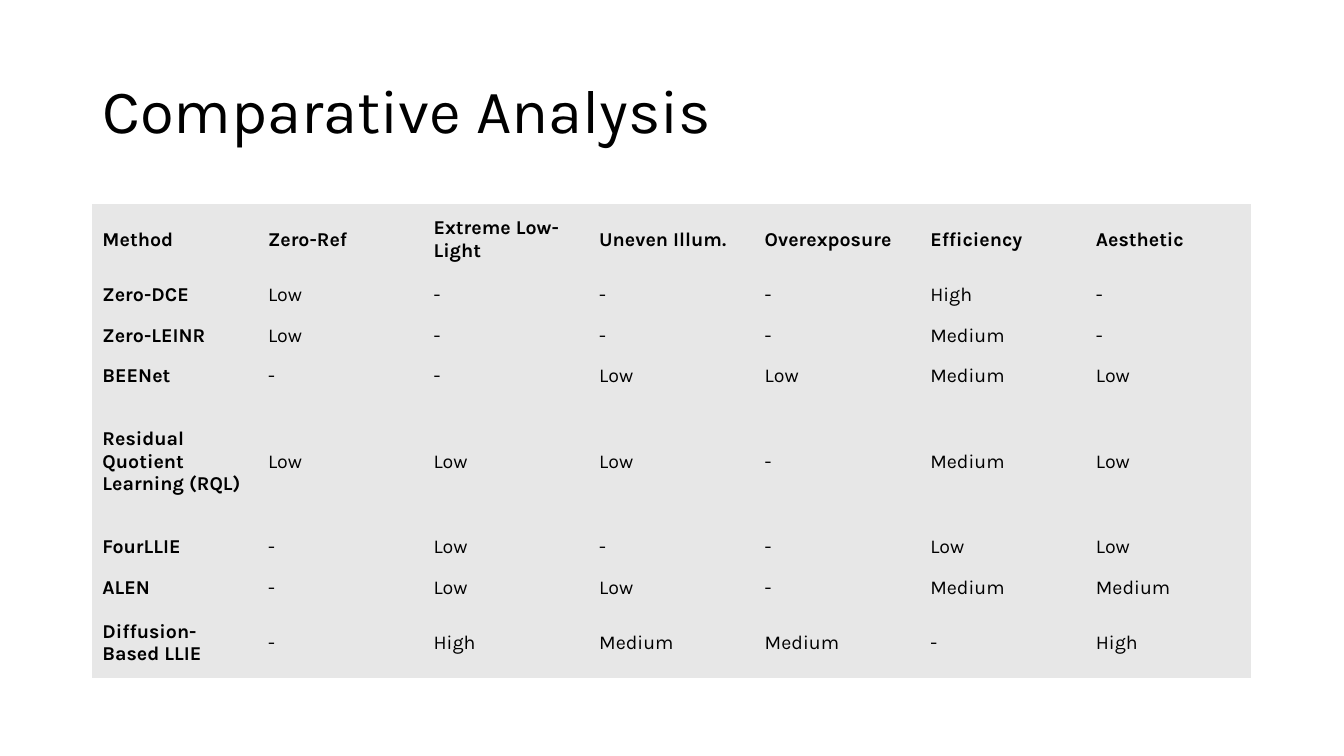
import pptx
import pptx.dml.color
import pptx.enum.text
import pptx.oxml.ns
import pptx.oxml.xmlchemy
import pptx.util
from lxml import etree

Pt = pptx.util.Pt
RGBColor = pptx.dml.color.RGBColor
MIDDLE = pptx.enum.text.MSO_ANCHOR.MIDDLE
LEFT = pptx.enum.text.PP_ALIGN.LEFT
qn = pptx.oxml.ns.qn

# Content
TITLE = "Comparative Analysis"
RATINGS = [
    ("Method", "Zero-Ref", "Extreme Low-Light", "Uneven Illum.",
     "Overexposure", "Efficiency", "Aesthetic"),
    ("Zero-DCE", "Low", "-", "-", "-", "High", "-"),
    ("Zero-LEINR", "Low", "-", "-", "-", "Medium", "-"),
    ("BEENet", "-", "-", "Low", "Low", "Medium", "Low"),
    ("Residual Quotient Learning (RQL)", "Low", "Low", "Low", "-", "Medium", "Low"),
    ("FourLLIE", "-", "Low", "-", "-", "Low", "Low"),
    ("ALEN", "-", "Low", "Low", "-", "Medium", "Medium"),
    ("Diffusion-Based LLIE", "-", "High", "Medium", "Medium", "-", "High"),
]

# Style and measures in points
FONT = "Karla"
BLACK = RGBColor(0x00, 0x00, 0x00)
CELL_GREY = RGBColor(0xE7, 0xE7, 0xE7)
MARGIN, CONTENT_WIDTH = 66, 828
TITLE_TOP, TITLE_HEIGHT = 28.75, 104.4
TABLE_TOP = 146
ROW_HEIGHT = 28.8
TALL_ROWS = {0: 50.4, 4: 93.6, 7: 50.4}


def format_text(frame, size, bold=False):
    frame.vertical_anchor = MIDDLE
    for para in frame.paragraphs:
        para.alignment = LEFT
        for span in para.runs:
            span.font.name = FONT
            span.font.size = Pt(size)
            span.font.bold = bold
            span.font.color.rgb = BLACK


def clear_borders(cell):
    properties = cell._tc.get_or_add_tcPr()
    for side in ("a:lnL", "a:lnR", "a:lnT", "a:lnB"):
        border = etree.SubElement(properties, qn(side), w="0")
        etree.SubElement(border, qn("a:noFill"))


def add_title(page):
    title = page.shapes.title
    title.left, title.top = Pt(MARGIN), Pt(TITLE_TOP)
    title.width, title.height = Pt(CONTENT_WIDTH), Pt(TITLE_HEIGHT)
    title.text_frame.text = TITLE
    title.text_frame.paragraphs[0].line_spacing = 0.9
    format_text(title.text_frame, 44)


def add_ratings(page):
    heights = [TALL_ROWS.get(row, ROW_HEIGHT) for row in range(len(RATINGS))]
    columns = len(RATINGS[0])
    table = page.shapes.add_table(
        len(RATINGS), columns, Pt(MARGIN), Pt(TABLE_TOP),
        Pt(CONTENT_WIDTH), Pt(sum(heights))).table
    table.horz_banding = False
    table.first_col = True
    for column in table.columns:
        column.width = Pt(CONTENT_WIDTH / columns)
    for row, (height, values) in enumerate(zip(heights, RATINGS)):
        table.rows[row].height = Pt(height)
        for column, value in enumerate(values):
            cell = table.cell(row, column)
            clear_borders(cell)
            cell.fill.solid()
            cell.fill.fore_color.rgb = CELL_GREY
            cell.vertical_anchor = MIDDLE
            cell.text_frame.text = value
            format_text(cell.text_frame, 14, bold=row == 0 or column == 0)


def main():
    deck = pptx.Presentation()
    deck.slide_width, deck.slide_height = Pt(960), Pt(540)
    page = deck.slides.add_slide(deck.slide_layouts[5])
    add_title(page)
    add_ratings(page)
    deck.save("out.pptx")


if __name__ == "__main__":
    main()
